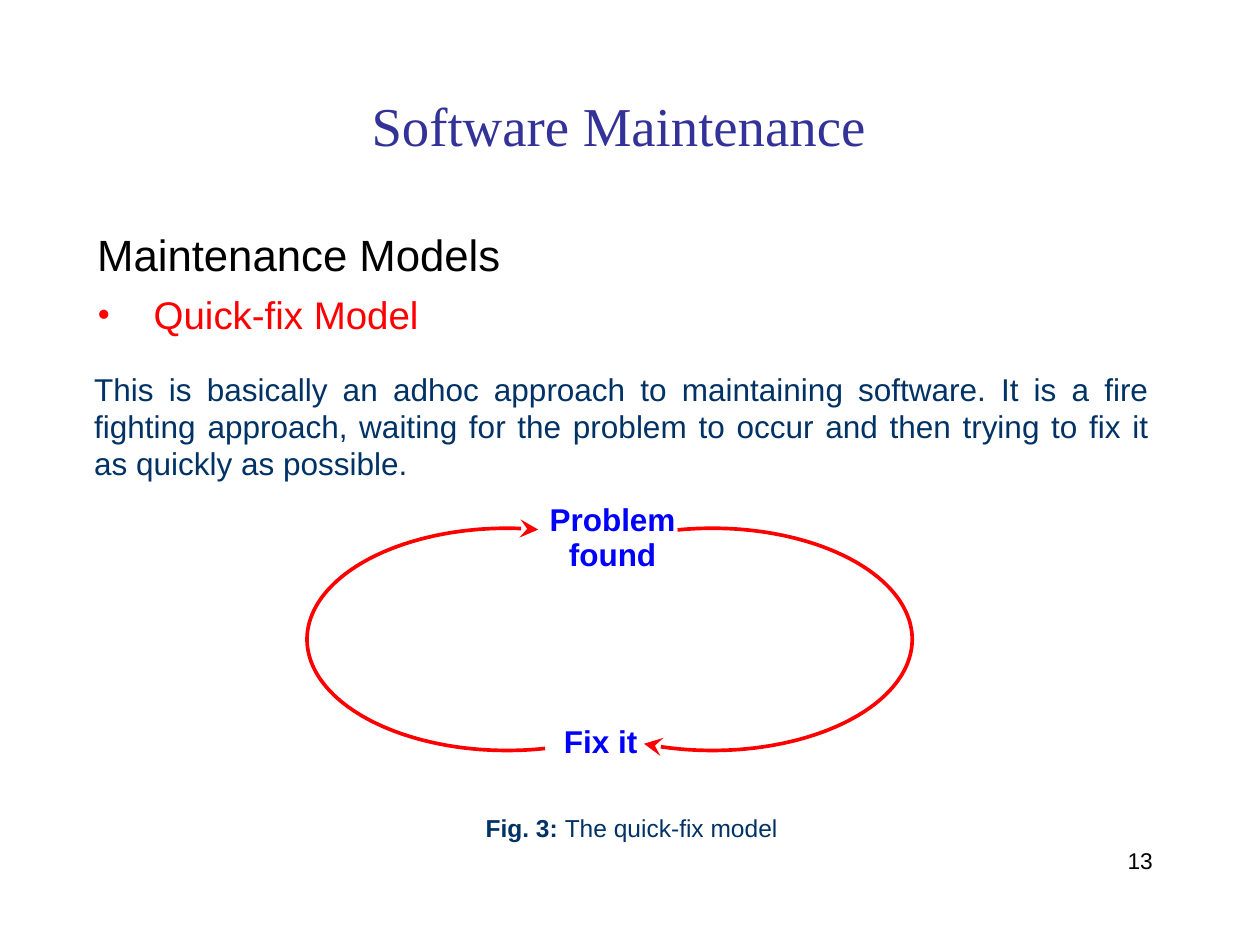
from dataclasses import dataclass
from math import cos, radians, sin

from lxml.etree import SubElement
from pptx import Presentation
from pptx.dml.color import RGBColor
from pptx.enum.text import PP_ALIGN
from pptx.oxml.ns import qn
from pptx.util import Cm, Pt

RED, NAVY, BLUE, INDIGO, BLACK = "FF0000", "003265", "0000FF", "323299", "000000"


@dataclass
class TextBlock:
    """One text box; lengths in centimetres, size and leading in points."""
    paragraphs: list[list[str]]
    left: float
    top: float
    width: float
    height: float
    size: float
    leading: float
    color: str
    font: str = "Arial"
    bold_runs: int = 0
    align: PP_ALIGN = PP_ALIGN.LEFT
    bullet_indent: float = 0


@dataclass
class Arc:
    """Part of an ellipse, clockwise, ending in an arrowhead."""
    center_x: float
    start: int
    end: int


TEXT_BLOCKS = [
    TextBlock([["Software Maintenance"]], 7.49, 1.96, 12.07, 1.3, 31.3, 34.6,
              INDIGO, font="Times New Roman"),
    TextBlock([["Maintenance Models"]], 1.96, 4.75, 8.5, 0.94, 25, 25.6, BLACK),
    TextBlock([["Quick-fix Model"]], 1.96, 6.02, 8, 0.81, 22, 22.1, RED,
              bullet_indent=1.14),
    TextBlock([["This is basically an adhoc approach to maintaining software. "
                "It is a fire fighting approach, waiting for the problem to occur "
                "and then trying to fix it as quickly as possible."]],
              1.9, 7.47, 21.26, 2.25, 18, 21.2, NAVY, align=PP_ALIGN.JUSTIFY),
    TextBlock([["Problem"], ["found"]], 10.9, 10.13, 2.9, 1.42, 18, 20, BLUE,
              bold_runs=1, align=PP_ALIGN.CENTER),
    TextBlock([["Fix it"]], 11.37, 14.66, 1.8, 0.69, 18, 18.6, BLUE, bold_runs=1),
    TextBlock([["Fig. 3: ", "The quick-fix model"]], 9.79, 16.46, 8.55, 0.6,
              14, 15, NAVY, bold_runs=1),
    TextBlock([["13"]], 22.73, 17.15, 0.8, 0.5, 13, 13.3, BLACK),
]

# Both loops share one ellipse size and one vertical centre
RADIUS_X, RADIUS_Y, CENTER_Y = 4.03, 2.24, 12.89
ARCS = [Arc(14.36, -100, 110), Arc(10.22, 79, 279)]


def rgb(value: str) -> RGBColor:
    return RGBColor.from_string(value)


def add_bullet(para, indent: float) -> None:
    properties = para._p.get_or_add_pPr()
    properties.set("marL", str(Cm(indent)))
    properties.set("indent", str(-Cm(indent)))
    SubElement(properties, qn("a:buFont"), typeface="Times New Roman")
    SubElement(properties, qn("a:buChar"), char="•")


def draw_text(page, block: TextBlock) -> None:
    box = page.shapes.add_textbox(Cm(block.left), Cm(block.top),
                                  Cm(block.width), Cm(block.height))
    frame = box.text_frame
    frame.word_wrap = True
    frame.margin_left = frame.margin_right = 0
    frame.margin_top = frame.margin_bottom = 0
    frame.text = "\n".join(spans[0] for spans in block.paragraphs)
    for para, spans in zip(frame.paragraphs, block.paragraphs):
        para.alignment = block.align
        para.line_spacing = Pt(block.leading)
        if block.bullet_indent:
            add_bullet(para, block.bullet_indent)
        for extra in spans[1:]:
            para.add_run().text = extra
        for position, span in enumerate(para.runs):
            span.font.name = block.font
            span.font.size = Pt(block.size)
            span.font.bold = position < block.bold_runs
            span.font.color.rgb = rgb(block.color)


def draw_arc(page, arc: Arc) -> None:
    points = [(Cm(arc.center_x + RADIUS_X * cos(radians(angle))),
               Cm(CENTER_Y + RADIUS_Y * sin(radians(angle))))
              for angle in range(arc.start, arc.end + 1)]
    builder = page.shapes.build_freeform(*points[0])
    builder.add_line_segments(points[1:], close=False)
    curve = builder.convert_to_shape()
    curve.shadow.inherit = False
    curve.fill.background()
    curve.line.color.rgb = rgb(RED)
    curve.line.width = Pt(2.1)
    SubElement(curve.line._get_or_add_ln(), qn("a:tailEnd"),
               type="stealth", w="lg", len="lg")


def main() -> None:
    deck = Presentation()
    deck.slide_width, deck.slide_height = Cm(25.4), Cm(19.05)
    page = deck.slides.add_slide(deck.slide_layouts[6])

    # Cycle between finding and fixing a problem
    for arc in ARCS:
        draw_arc(page, arc)

    # Title, body, labels, caption and page number
    for block in TEXT_BLOCKS:
        draw_text(page, block)

    deck.save("out.pptx")


if __name__ == "__main__":
    main()
